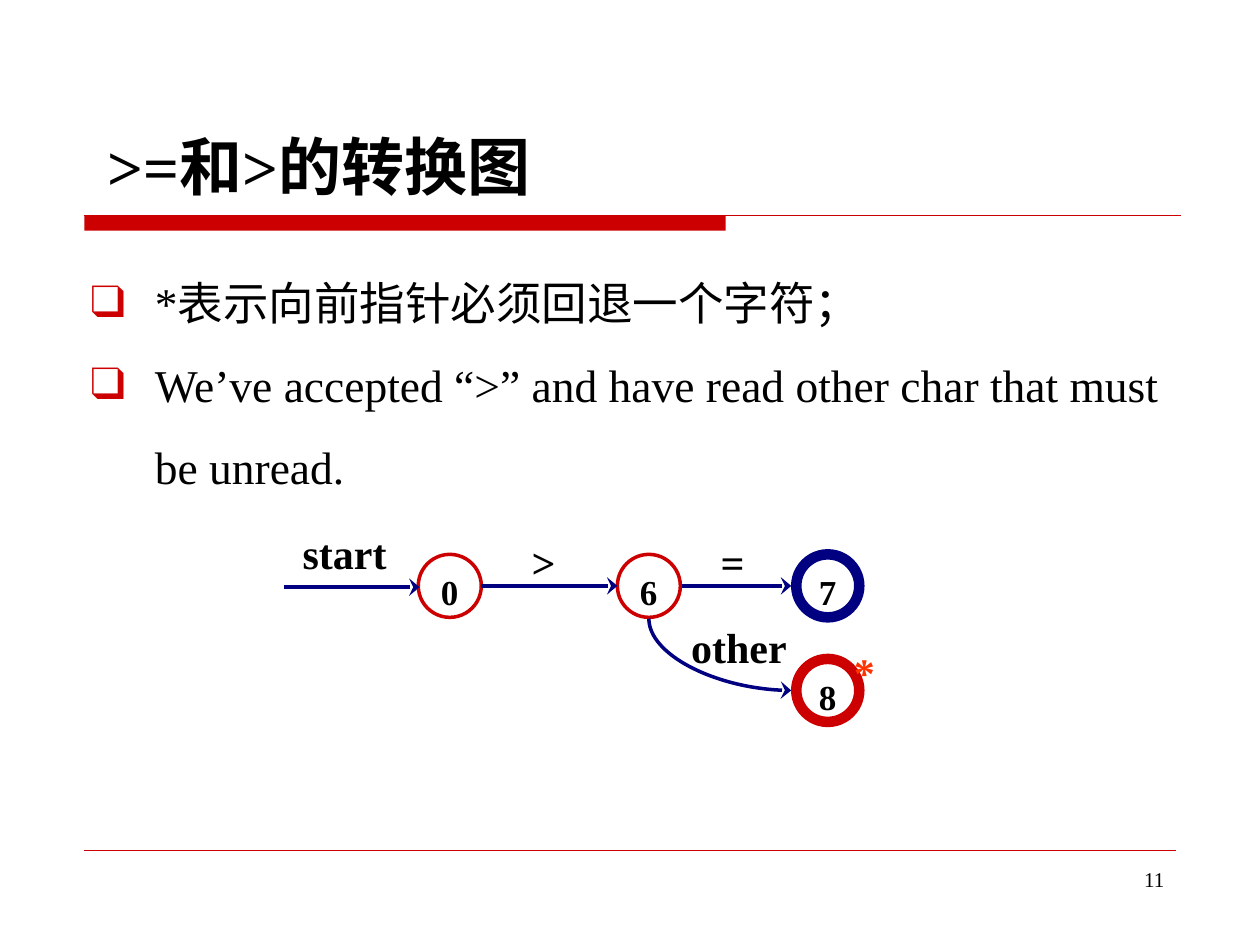
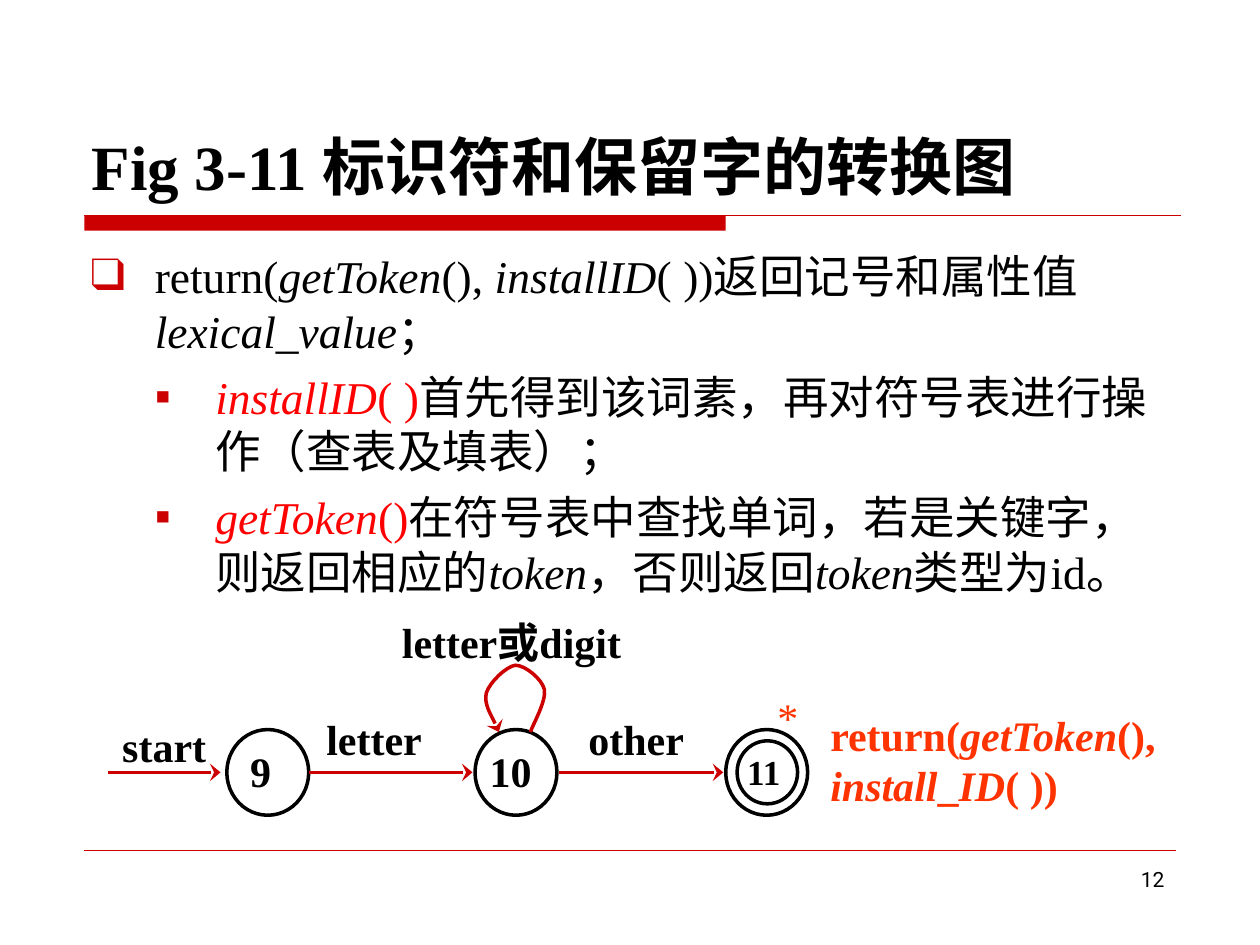
from lxml import etree
from pptx import Presentation, util as u
from pptx.dml.color import RGBColor
from pptx.enum import shapes, text
from pptx.oxml import ns

RED = RGBColor(0xCC, 0x00, 0x00)
NAVY = RGBColor(0x00, 0x00, 0x80)
ORANGE = RGBColor(0xFF, 0x33, 0x00)
BRIGHT = RGBColor(0xFF, 0x00, 0x00)
BLACK = RGBColor(0x00, 0x00, 0x00)
LATIN, HAN, SANS = "Times New Roman", "Noto Sans CJK SC", "Roboto"
LEFT, CENTER, RIGHT, JUSTIFY = (
    text.PP_ALIGN.LEFT, text.PP_ALIGN.CENTER, text.PP_ALIGN.RIGHT, text.PP_ALIGN.JUSTIFY)
WIDTH, HEIGHT = 10, 7.5
MARGIN = 0.67

BULLETS = [("❑", 0.51, 0.51), ("▪", 0.99, 0.48)]

IT = {"italic": True}
KEY = {"color": BRIGHT}
KEY_IT = {"color": BRIGHT, "italic": True}

OPERATORS = {
    "title": " >=和>的转换图",
    "number": ("11", LATIN),
    "spacing": {"line_spacing": 1.5},
    "body": [
        (0, [("*表示向前指针必须回退一个字符；", {})]),
        (0, [("We’ve accepted “>” and have read other char that must be unread.", {})]),
    ],
}
IDENTIFIERS = {
    "title": "Fig 3-11 标识符和保留字的转换图",
    "number": ("12", SANS),
    "spacing": {"space_before": u.Pt(6.5)},
    "body": [
        (0, [("return(", {}), ("getToken", IT), ("(), ", {}), ("installID", IT),
             ("( ))返回记号和属性值", {}), ("lexical_value", IT), ("；", {})]),
        (1, [("installID", KEY_IT), ("( )", KEY),
             ("首先得到该词素，再对符号表进行操作（查表及填表）；", {})]),
        (1, [("getToken", KEY_IT), ("()", KEY),
             ("在符号表中查找单词，若是关键字，则返回相应的", {}), ("token", IT),
             ("，否则返回", {}), ("token", IT), ("类型为id。", {})]),
    ],
}

OP_TOP, OP_SIZE = 4.4, 0.5
OP_STATES = [
    ("0", 3.32, OP_TOP, RED, 2),
    ("6", 4.9, OP_TOP, RED, 2),
    ("7", 6.32, OP_TOP, NAVY, 6),
    ("8", 6.32, 5.23, RED, 6),
]
OP_ARROWS = [(2.25, 3.33, 4.66), (3.82, 4.9, 4.65), (5.41, 6.28, 4.65)]
OP_LABELS = [
    ("start", (1.89, 4.14, 1.69, 0.5), BLACK),
    ("other", (5, 4.88, 1.73, 0.5), BLACK),
    ("=", (5.4, 4.21, 0.83, 0.5), BLACK),
    (">", (3.9, 4.21, 0.83, 0.5), BLACK),
    ("*", (6.65, 5.08, 0.42, 0.5), ORANGE),
]

ID_TOP, ID_WIDTH, ID_HEIGHT, ID_AXIS = 5.79, 0.65, 0.68, 6.13
ID_STATES = [("9", 1.8, 0.09, JUSTIFY), ("10", 3.77, 0.02, LEFT), ("", 5.76, 0.02, LEFT)]
ACCEPT_RING = (5.85, 5.88, 0.48, 0.5)
ID_ARROWS = [(0.86, 1.75), (2.45, 3.75), (4.44, 5.74)]
BOLD = {"bold": True}
BOLD_IT = {"bold": True, "italic": True}
ID_LABELS = [
    ([("start", BOLD)], (0.91, 5.69, 1.05, 0.52), BLACK),
    ([("letter", BOLD)], (2.53, 5.63, 1.08, 0.49), BLACK),
    ([("other", BOLD)], (4.61, 5.63, 1.08, 0.58), BLACK),
    ([("*", {})], (6.11, 5.46, 0.33, 0.34), ORANGE),
    ([("letter", BOLD), ("或", {"bold": True, "font": HAN}), ("digit", BOLD)],
     (3.13, 4.86, 1.91, 0.64), BLACK),
    ([("return(", BOLD), ("getToken", BOLD_IT), ("(), ", BOLD), ("install", BOLD_IT),
      ("_", BOLD), ("ID", BOLD_IT), ("( ))", BOLD)], (6.53, 5.6, 3.47, 1.15), ORANGE),
]
LOOP = [(4.21, 5.81), (4.23, 5.75), (4.34, 5.56), (4.32, 5.47), (4.3, 5.39), (4.17, 5.28),
        (4.09, 5.28), (4.02, 5.29), (3.89, 5.41), (3.86, 5.5), (3.84, 5.59), (3.94, 5.75),
        (3.96, 5.81)]


def inches(*lengths):
    return [u.Inches(length) for length in lengths]


def add_runs(paragraph, runs, size, color=BLACK):
    for words, look in runs:
        run = paragraph.add_run()
        run.text = words
        font = run.font
        font.size = u.Pt(size)
        font.name = look.get("font", LATIN)
        font.bold = look.get("bold", False)
        font.italic = look.get("italic", False)
        font.color.rgb = look.get("color", color)
        east = etree.Element(ns.qn("a:ea"), typeface=HAN)
        run._r.rPr.find(ns.qn("a:latin")).addnext(east)


def set_frame(shape, insets, anchor=text.MSO_ANCHOR.TOP):
    frame = shape.text_frame
    frame.word_wrap = True
    frame.vertical_anchor = anchor
    (frame.margin_left, frame.margin_top,
     frame.margin_right, frame.margin_bottom) = inches(*insets)
    return frame


def add_text(slide, box, runs, size, color=BLACK, align=LEFT, before=0,
             insets=(0.1, 0.05, 0.1, 0.05), anchor=text.MSO_ANCHOR.TOP):
    frame = set_frame(slide.shapes.add_textbox(*inches(*box)), insets, anchor)
    paragraph = frame.paragraphs[0]
    paragraph.alignment = align
    paragraph.space_before = u.Pt(before)
    add_runs(paragraph, runs, size, color)


def style_stroke(shape, color, width, arrow=False):
    shape.line.color.rgb = color
    shape.line.width = u.Pt(width)
    if arrow:
        etree.SubElement(shape.line._get_or_add_ln(), ns.qn("a:tailEnd"),
                         type="stealth", w="lg", len="med")


def add_line(slide, start, end, color, width, arrow=False,
             kind=shapes.MSO_CONNECTOR.STRAIGHT):
    line = slide.shapes.add_connector(kind, *inches(*start, *end))
    style_stroke(line, color, width, arrow)
    etree.SubElement(line._element.spPr, ns.qn("a:effectLst"))
    return line


def add_circle(slide, box, color, width):
    circle = slide.shapes.add_shape(shapes.MSO_SHAPE.OVAL, *inches(*box))
    circle.shadow.inherit = False
    circle.fill.background()
    style_stroke(circle, color, width)
    return circle


def add_state_name(circle, name, size, insets, align):
    paragraph = set_frame(circle, insets).paragraphs[0]
    paragraph.alignment = align
    add_runs(paragraph, [(name, BOLD)], size)


def add_bent_arrow(slide, start, end, color):
    (x1, y1), (x2, y2) = start, end
    cx, cy = (x1 + x2) / 2, (y1 + y2) / 2
    half_w, half_h = (y2 - y1) / 2, (x2 - x1) / 2
    bend = add_line(slide, (cx + half_w, cy - half_h), (cx - half_w, cy + half_h),
                    color, 2, True, shapes.MSO_CONNECTOR.CURVE)
    properties = bend._element.spPr
    properties.find(ns.qn("a:xfrm")).set("rot", str(270 * 60000))
    properties.find(ns.qn("a:prstGeom")).set("prst", "curvedConnector2")


def add_loop(slide, points, color):
    start, *others = [inches(*point) for point in points]
    builder = slide.shapes.build_freeform(*start)
    builder.add_line_segments(others, close=False)
    loop = builder.convert_to_shape()
    loop.shadow.inherit = False
    loop.fill.background()
    style_stroke(loop, color, 2, True)
    outline = loop._element.spPr.find(".//" + ns.qn("a:path"))
    segments = outline.findall(ns.qn("a:lnTo"))
    for first in range(0, len(segments), 3):
        curve = etree.SubElement(outline, ns.qn("a:cubicBezTo"))
        for segment in segments[first:first + 3]:
            curve.append(segment[0])
            outline.remove(segment)


def add_bullet(paragraph, level):
    mark, left, hang = BULLETS[level]
    paragraph.level = level
    properties = paragraph._p.get_or_add_pPr()
    properties.set("marL", str(u.Inches(left)))
    properties.set("indent", str(-u.Inches(hang)))
    tint = etree.SubElement(properties, ns.qn("a:buClr"))
    etree.SubElement(tint, ns.qn("a:srgbClr"), val=str(RED))
    etree.SubElement(properties, ns.qn("a:buFont"), typeface=LATIN)
    etree.SubElement(properties, ns.qn("a:buChar"), char=mark)


def add_page(deck, content):
    slide = deck.slides.add_slide(deck.slide_layouts[6])
    band = slide.shapes.add_shape(shapes.MSO_SHAPE.RECTANGLE,
                                  *inches(MARGIN, 1.71, 5.09, 0.12))
    band.shadow.inherit = False
    band.fill.solid()
    band.fill.fore_color.rgb = RED
    band.line.fill.background()
    add_line(slide, (MARGIN, 1.71), (9.37, 1.71), RED, 1)
    add_line(slide, (MARGIN, 6.75), (WIDTH - MARGIN, 6.75), RED, 0.25)
    number, font = content["number"]
    add_text(slide, (7.17, 6.83, 2.17, 0.52), [(number, {"font": font})], 12, align=RIGHT)
    add_text(slide, (0.63, 0.33, 8.75, 1.33), [(content["title"], BOLD)], 36,
             anchor=text.MSO_ANCHOR.BOTTOM)
    body = slide.shapes.add_textbox(*inches(0.62, 1.92, 8.75, 4.67))
    frame = set_frame(body, (0.1, 0.05, 0.1, 0.05))
    for index, (level, runs) in enumerate(content["body"]):
        paragraph = frame.add_paragraph() if index else frame.paragraphs[0]
        for setting, amount in content["spacing"].items():
            setattr(paragraph, setting, amount)
        add_bullet(paragraph, level)
        add_runs(paragraph, runs, 26)
    return slide


def draw_operators(slide):
    for name, left, top, color, width in OP_STATES:
        add_circle(slide, (left, top, OP_SIZE, OP_SIZE), color, width)
        add_text(slide, (left + 0.08, top + 0.08, 0.33, 0.44), [(name, BOLD)], 20,
                 align=CENTER, before=12.5)
    for start, end, y in OP_ARROWS:
        add_line(slide, (start, y), (end, y), NAVY, 2, True)
    add_bent_arrow(slide, (5.15, 4.91), (6.28, 5.48), NAVY)
    for words, box, color in OP_LABELS:
        add_text(slide, box, [(words, BOLD)], 24, color, CENTER, 15)


def draw_identifiers(slide):
    for name, left, inset, align in ID_STATES:
        circle = add_circle(slide, (left, ID_TOP, ID_WIDTH, ID_HEIGHT), BLACK, 2)
        if name:
            add_state_name(circle, name, 24, (inset, 0.03, inset, 0.05), align)
    ring = add_circle(slide, ACCEPT_RING, BLACK, 2)
    add_state_name(ring, "11", 20, (0.01, 0, 0.01, 0), JUSTIFY)
    for start, end in ID_ARROWS:
        add_line(slide, (start, ID_AXIS), (end, ID_AXIS), RED, 2, True)
    for runs, box, color in ID_LABELS:
        add_text(slide, box, runs, 24, color, JUSTIFY, insets=(0.06, 0.03, 0.06, 0.03))
    add_loop(slide, LOOP, RED)


def main():
    deck = Presentation()
    deck.slide_width, deck.slide_height = inches(WIDTH, HEIGHT)
    draw_operators(add_page(deck, OPERATORS))
    draw_identifiers(add_page(deck, IDENTIFIERS))
    deck.save("out.pptx")


if __name__ == "__main__":
    main()
